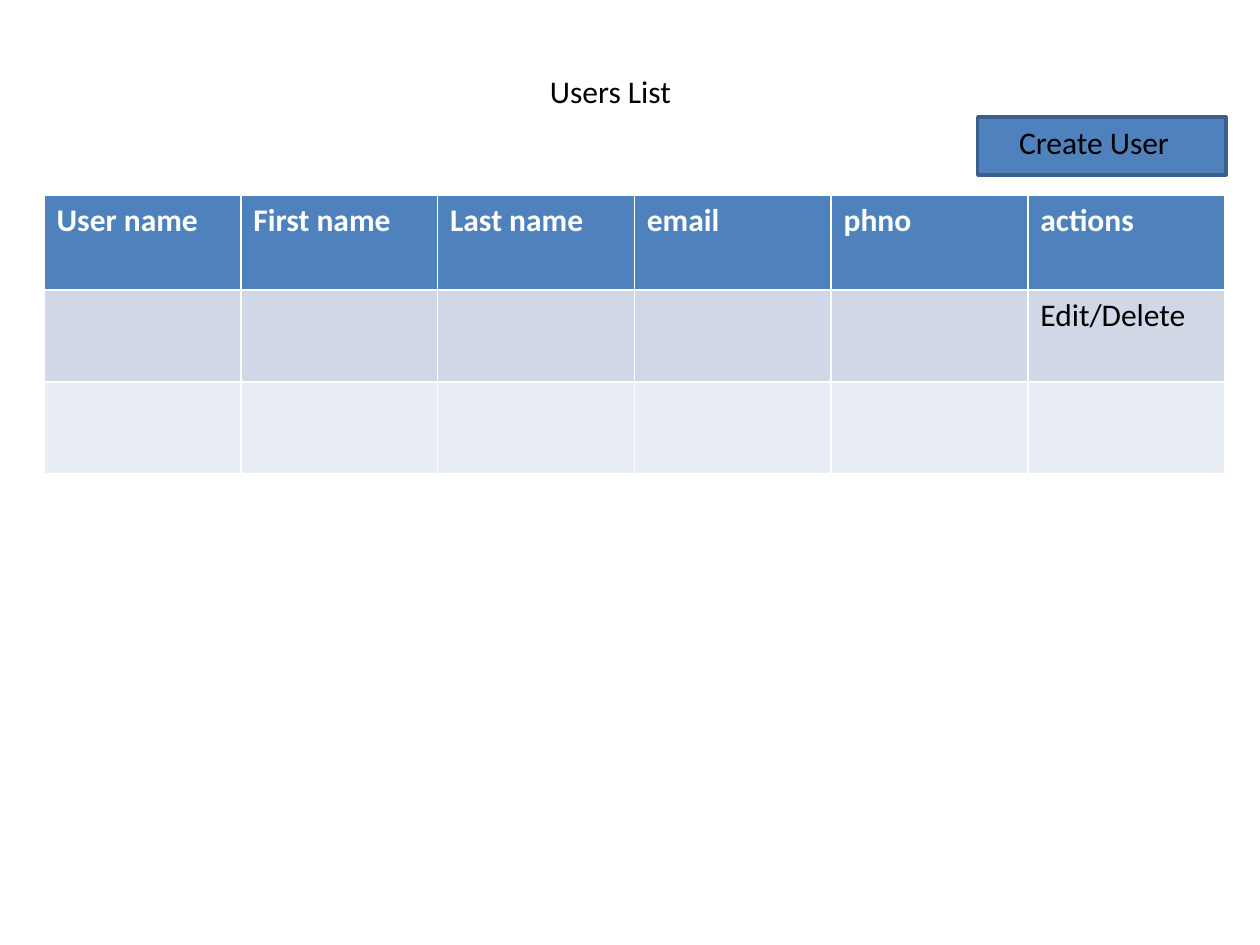
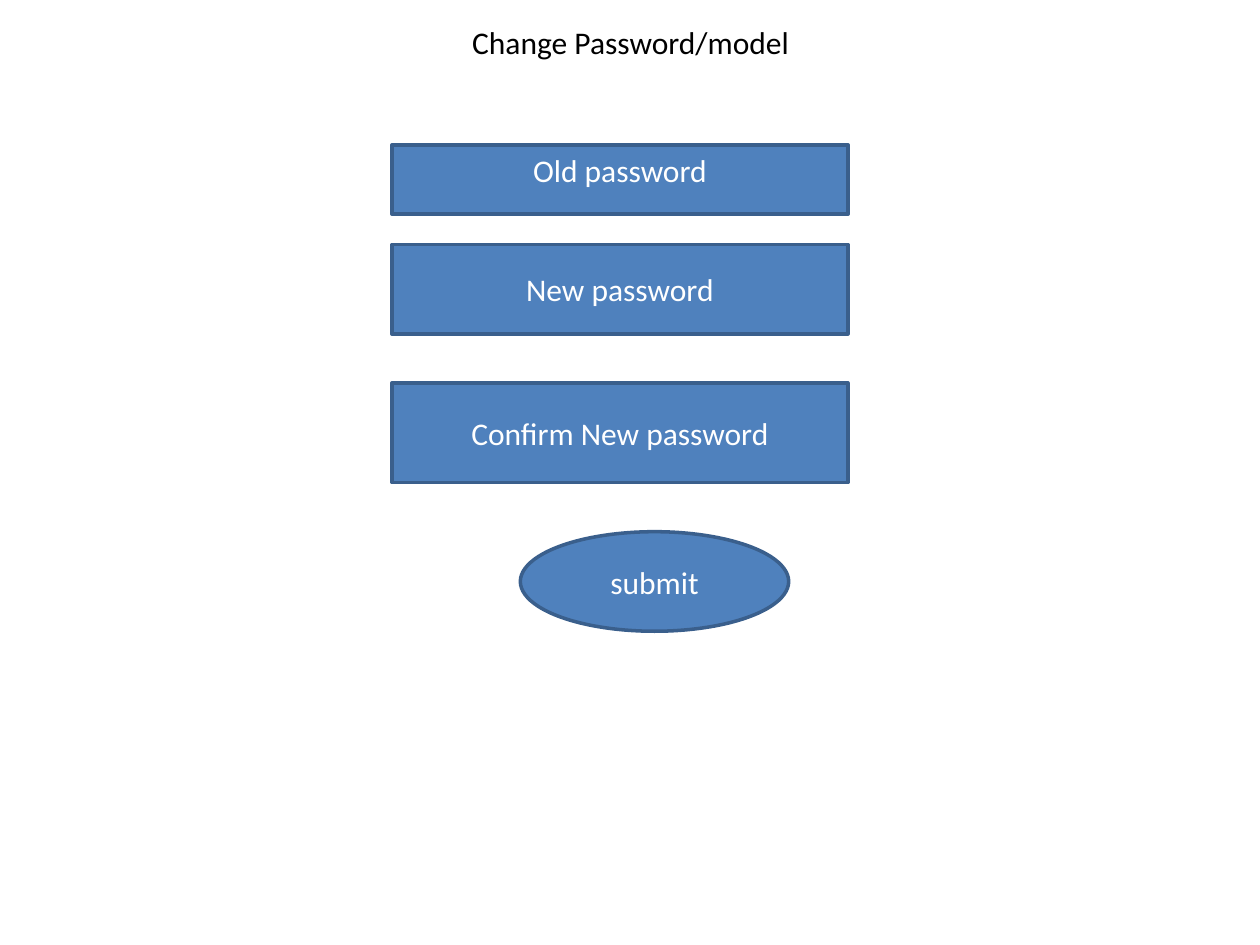
from pptx import Presentation
from pptx.dml.color import RGBColor
from pptx.enum.shapes import MSO_SHAPE
from pptx.enum.text import MSO_ANCHOR, PP_ALIGN
from pptx.util import Inches, Pt

RECT, OVAL = MSO_SHAPE.RECTANGLE, MSO_SHAPE.OVAL
LEFT, CENTER = PP_ALIGN.LEFT, PP_ALIGN.CENTER
MIDDLE = MSO_ANCHOR.MIDDLE

BLUE, EDGE = "4F81BD", "3A5F8C"
WHITE, BLACK = "FFFFFF", "000000"
BANDS = ("D0D8E8", "E9EDF4")


def color(code):
    return RGBColor.from_string(code)


class Deck:
    """Holds the shared style and the slide being drawn."""
    font, size = "Calibri", Pt(18)
    label_height = 0.4

    def __init__(self, width, height):
        self.file = Presentation()
        self.file.slide_width = Inches(width)
        self.file.slide_height = Inches(height)
        self.slide = None

    def start(self):
        self.slide = self.file.slides.add_slide(self.file.slide_layouts[6])

    def add_text(self, frame, text, tint, align=LEFT, bold=False):
        line = frame.paragraphs[0]
        line.alignment = align
        run = line.add_run()
        run.text = text
        run.font.name, run.font.size = self.font, self.size
        run.font.bold = bold
        run.font.color.rgb = color(tint)

    def label(self, left, top, width, text, tint=BLACK, align=CENTER):
        area = map(Inches, (left, top, width, self.label_height))
        frame = self.slide.shapes.add_textbox(*area).text_frame
        frame.word_wrap = True
        self.add_text(frame, text, tint, align)

    def box(self, left, top, width, height, text="", kind=RECT):
        area = map(Inches, (left, top, width, height))
        shape = self.slide.shapes.add_shape(kind, *area)
        shape.shadow.inherit = False
        shape.fill.solid()
        shape.fill.fore_color.rgb = color(BLUE)
        shape.line.color.rgb = color(EDGE)
        shape.line.width = Pt(2)
        if text:
            shape.text_frame.vertical_anchor = MIDDLE
            self.add_text(shape.text_frame, text, WHITE, CENTER)

    def table(self, left, top, width, heights, rows):
        """Draw a header row over banded rows; the table style rules the lines."""
        area = map(Inches, (left, top, width, sum(heights)))
        grid = self.slide.shapes.add_table(len(rows), len(rows[0]), *area).table
        for r, (height, row) in enumerate(zip(heights, rows)):
            grid.rows[r].height = Inches(height)
            head = r == 0
            for c, text in enumerate(row):
                cell = grid.cell(r, c)
                cell.fill.solid()
                cell.fill.fore_color.rgb = color(BLUE if head else BANDS[(r - 1) % 2])
                if text:
                    self.add_text(cell.text_frame, text, WHITE if head else BLACK, bold=head)


def users(deck):
    deck.start()
    heads = ["User name", "First name", "Last name", "email", "phno", "actions"]
    gaps = [""] * (len(heads) - 1)
    deck.table(0.35, 1.55, 9.37, (0.75, 0.73, 0.73),
               [heads, gaps + ["Edit/Delete"], gaps + [""]])
    deck.label(1.38, 0.52, 6.93, "Users List")
    deck.box(7.76, 0.93, 1.97, 0.46)
    deck.label(7.99, 0.93, 2, "Create User", align=LEFT)


def password(deck):
    deck.start()
    deck.label(2.09, 0.13, 5.83, "Change Password/model")
    left, width = 3.11, 3.62
    fields = [(1.15, 0.55, ""), (1.94, 0.71, "New password"),
              (3.04, 0.79, "Confirm New password")]
    for top, height, text in fields:
        deck.box(left, top, width, height, text)
    deck.label(left, fields[0][0], width, "Old password", WHITE)
    deck.box(4.13, 4.22, 2.13, 0.79, "submit", OVAL)


def main():
    deck = Deck(10, 7.5)
    users(deck)
    password(deck)
    deck.file.save("out.pptx")


if __name__ == "__main__":
    main()
